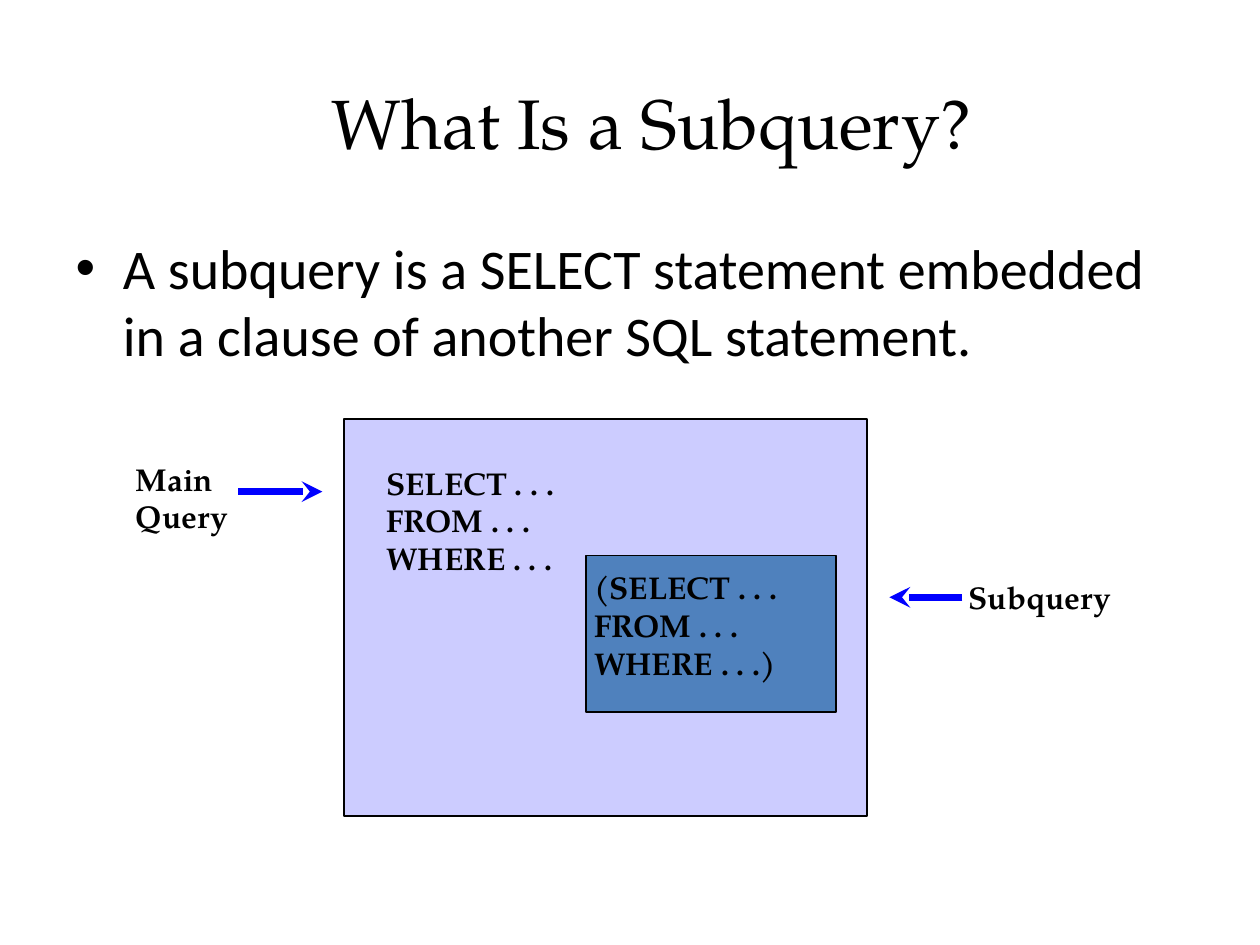
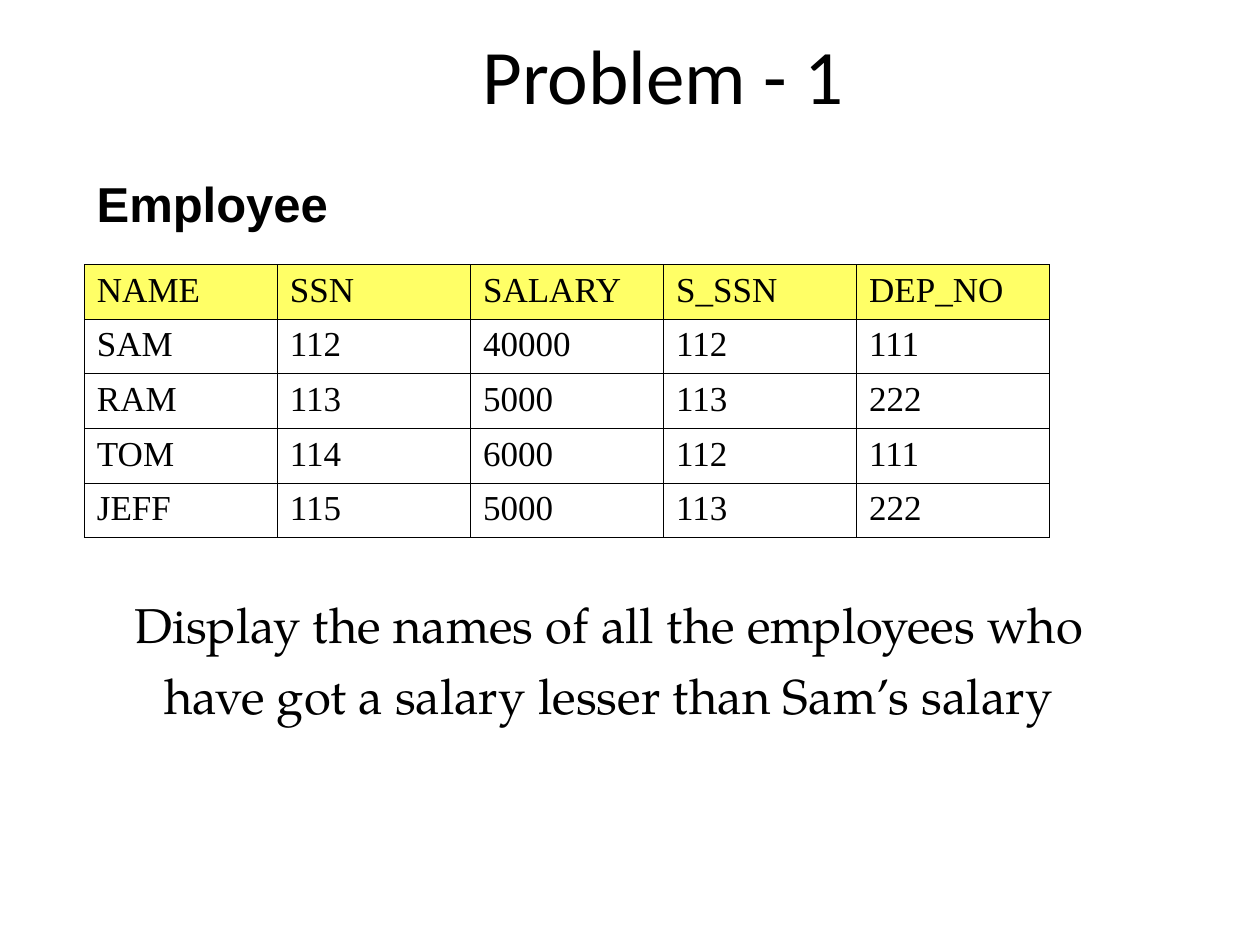
from dataclasses import dataclass
from typing import Optional

from lxml.etree import SubElement
from pptx import Presentation
from pptx.dml.color import RGBColor
from pptx.enum.shapes import MSO_CONNECTOR as Connector, MSO_SHAPE as Preset
from pptx.enum.text import MSO_ANCHOR as Anchor, MSO_AUTO_SIZE as AutoSize, PP_ALIGN as Align
from pptx.oxml.ns import qn
from pptx.slide import Slide
from pptx.text.text import TextFrame
from pptx.util import Cm, Pt


@dataclass(frozen=True)
class Theme:
    ink: str = "000000"
    outer_query: str = "CCCCFF"
    inner_query: str = "4F81BD"
    arrow: str = "0000FF"
    header: str = "FFFF66"
    serif: str = "TeX Gyre Pagella"
    sans: str = "Calibri"
    caption: str = "Arial"
    table: str = "Times New Roman"
    title_size: int = 44
    serif_title_size: int = 40
    list_size: int = 32
    task_size: int = 28
    cell_size: int = 20
    label_size: int = 18
    outline: float = 1
    grid: float = 0.45
    arrow_line: float = 4


THEME = Theme()


# Lengths in these records are centimetres
@dataclass(frozen=True)
class Box:
    left: float
    top: float
    width: float
    height: float

    def lengths(self) -> tuple:
        return Cm(self.left), Cm(self.top), Cm(self.width), Cm(self.height)


@dataclass(frozen=True)
class Panel:
    box: Box
    fill: str


@dataclass(frozen=True)
class Label:
    box: Box
    text: str


@dataclass(frozen=True)
class Arrow:
    start: float
    end: float
    y: float


def rgb(colour: str) -> RGBColor:
    return RGBColor.from_string(colour)


# Text
def write(frame: TextFrame, text: str, *, font: str = THEME.serif,
          size: float = THEME.label_size, bold: bool = False,
          align: Optional[Align] = Align.LEFT, anchor: Anchor = Anchor.TOP,
          wrap: bool = True, before: float = 0, spacing: Optional[float] = None,
          margin: Optional[float] = None, indent: float = 0) -> None:
    """Fill a frame, one paragraph a line, in one format."""
    frame.word_wrap = wrap
    frame.auto_size = AutoSize.NONE
    frame.vertical_anchor = anchor
    frame.text = text
    for paragraph in frame.paragraphs:
        paragraph.alignment = align
        paragraph.space_before = Pt(before)
        paragraph.line_spacing = spacing
        if margin is not None:
            properties = paragraph._p.get_or_add_pPr()
            properties.set("marL", str(Cm(margin)))
            properties.set("indent", str(Cm(indent)))
        face = paragraph.font
        face.name, face.size, face.bold = font, Pt(size), bold
        face.color.rgb = rgb(THEME.ink)


def fill_placeholder(slide: Slide, index: int, box: Box, text: str, **style) -> None:
    holder = slide.placeholders[index]
    holder.left, holder.top, holder.width, holder.height = box.lengths()
    write(holder.text_frame, text, **style)


def add_text(slide: Slide, label: Label, **style) -> None:
    write(slide.shapes.add_textbox(*label.box.lengths()).text_frame, label.text, **style)


# Shapes
def add_panel(slide: Slide, panel: Panel) -> None:
    shape = slide.shapes.add_shape(Preset.RECTANGLE, *panel.box.lengths())
    shape.shadow.inherit = False
    shape.fill.solid()
    shape.fill.fore_color.rgb = rgb(panel.fill)
    shape.line.color.rgb = rgb(THEME.ink)
    shape.line.width = Pt(THEME.outline)


def add_arrow(slide: Slide, arrow: Arrow) -> None:
    line = slide.shapes.add_connector(Connector.STRAIGHT, Cm(arrow.start), Cm(arrow.y),
                                      Cm(arrow.end), Cm(arrow.y))
    line.line.color.rgb = rgb(THEME.arrow)
    line.line.width = Pt(THEME.arrow_line)
    SubElement(line.line._get_or_add_ln(), qn("a:tailEnd"), type="stealth")
    SubElement(line._element.spPr, qn("a:effectLst"))


# Table
def add_borders(cell) -> None:
    properties = cell._tc.get_or_add_tcPr()
    for side in "LRTB":
        border = SubElement(properties, qn(f"a:ln{side}"), w=str(Pt(THEME.grid)))
        SubElement(SubElement(border, qn("a:solidFill")), qn("a:srgbClr"), val=THEME.ink)


def add_records(slide: Slide, box: Box, records: list[list[str]]) -> None:
    table = slide.shapes.add_table(len(records), len(records[0]), *box.lengths()).table
    table.first_row = table.horz_banding = False
    for r, record in enumerate(records):
        for c, value in enumerate(record):
            cell = table.cell(r, c)
            add_borders(cell)
            if r == 0:
                cell.fill.solid()
                cell.fill.fore_color.rgb = rgb(THEME.header)
            else:
                cell.fill.background()
            write(cell.text_frame, value, font=THEME.table, size=THEME.cell_size,
                  margin=0.95, indent=-0.95)


# Content
PANELS = [
    Panel(Box(6.93, 8.45, 10.55, 8), THEME.outer_query),
    Panel(Box(11.81, 11.2, 5.05, 3.15), THEME.inner_query),
]
QUERY_LABELS = [
    Label(Box(7.54, 9.22, 4.19, 2.54), "SELECT . . .\nFROM . . .\nWHERE . . ."),
    Label(Box(11.73, 11.33, 4.29, 2.54), "(SELECT . . .\nFROM . . .\nWHERE . . .)"),
    Label(Box(2.49, 9.14, 2.49, 1.78), "Main\nQuery"),
    Label(Box(19.28, 11.53, 3.6, 1.02), "Subquery"),
]
ARROWS = [Arrow(4.8, 6.5, 9.91), Arrow(19.4, 17.93, 12.04)]
EMPLOYEES = [
    ["NAME", "SSN", "SALARY", "S_SSN", "DEP_NO"],
    ["SAM", "112", "40000", "112", "111"],
    ["RAM", "113", "5000", "113", "222"],
    ["TOM", "114", "6000", "112", "111"],
    ["JEFF", "115", "5000", "113", "222"],
]


def build_subquery(slide: Slide) -> None:
    fill_placeholder(slide, 0, Box(6.43, 1.47, 13.69, 3.66), "What Is a Subquery?",
                     size=THEME.serif_title_size)
    fill_placeholder(slide, 1, Box(1.27, 4.57, 22.86, 12.57),
                     "A subquery is a SELECT statement embedded in a clause of another SQL statement.",
                     font=THEME.sans, size=THEME.list_size, before=8)
    for panel in PANELS:
        add_panel(slide, panel)
    for label in QUERY_LABELS:
        add_text(slide, label, bold=True, wrap=False)
    for arrow in ARROWS:
        add_arrow(slide, arrow)


def build_problem(slide: Slide) -> None:
    fill_placeholder(slide, 0, Box(1.9, 0.43, 21.6, 2.1), "Problem - 1", font=THEME.sans,
                     size=THEME.title_size, align=Align.CENTER, anchor=Anchor.MIDDLE,
                     margin=1.35)
    add_text(slide, Label(Box(1.7, 3.38, 5.72, 1.45), "Employee"), font=THEME.caption,
             size=THEME.task_size, bold=True, before=11.2)
    add_records(slide, Box(1.7, 5.33, 19.46, 5.51), EMPLOYEES)
    add_text(slide, Label(Box(2.11, 11.63, 20.32, 4.52),
                          "Display the names of all the employees who have got "
                          "a salary lesser than Sam’s salary"),
             size=THEME.task_size, align=Align.CENTER, before=17.5, spacing=1.2)


def main() -> None:
    deck = Presentation()
    deck.slide_width, deck.slide_height = Cm(25.4), Cm(19.05)
    title_and_list, title_only = deck.slide_layouts[1], deck.slide_layouts[5]
    build_subquery(deck.slides.add_slide(title_and_list))
    build_problem(deck.slides.add_slide(title_only))
    deck.save("out.pptx")


if __name__ == "__main__":
    main()
